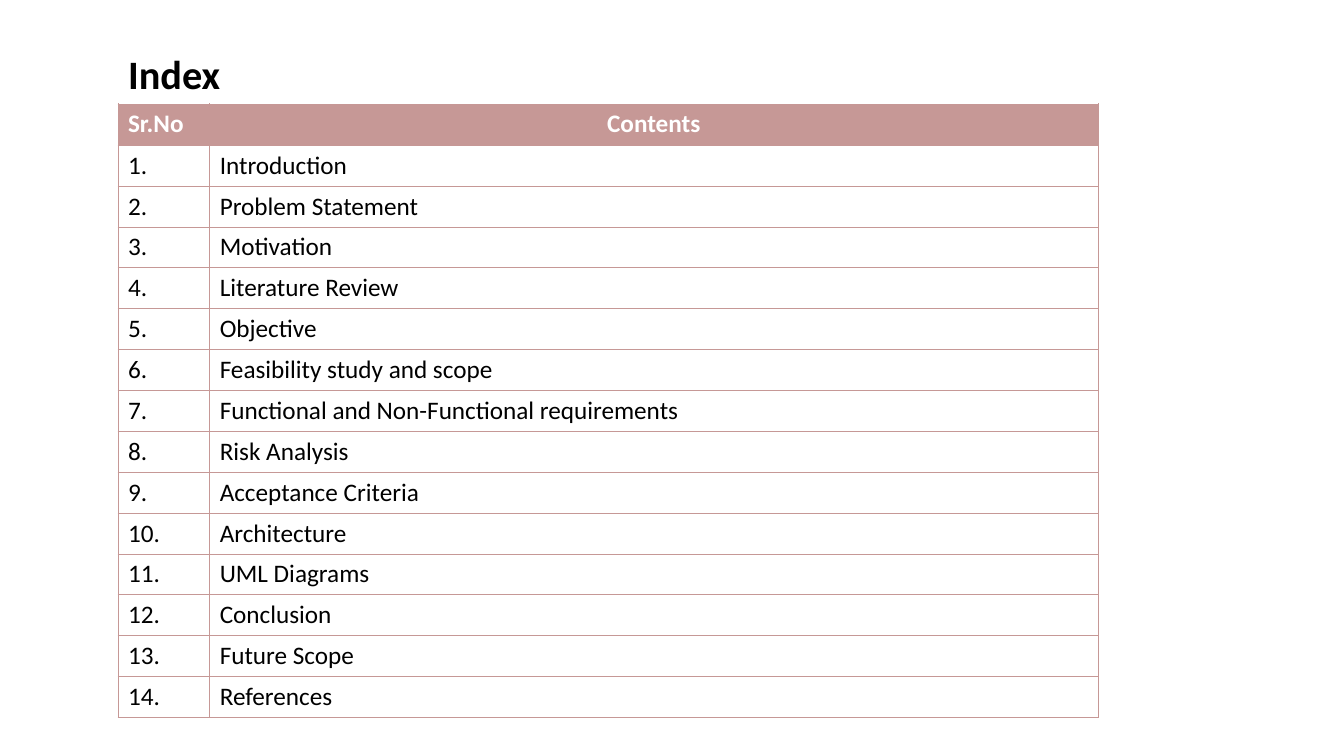
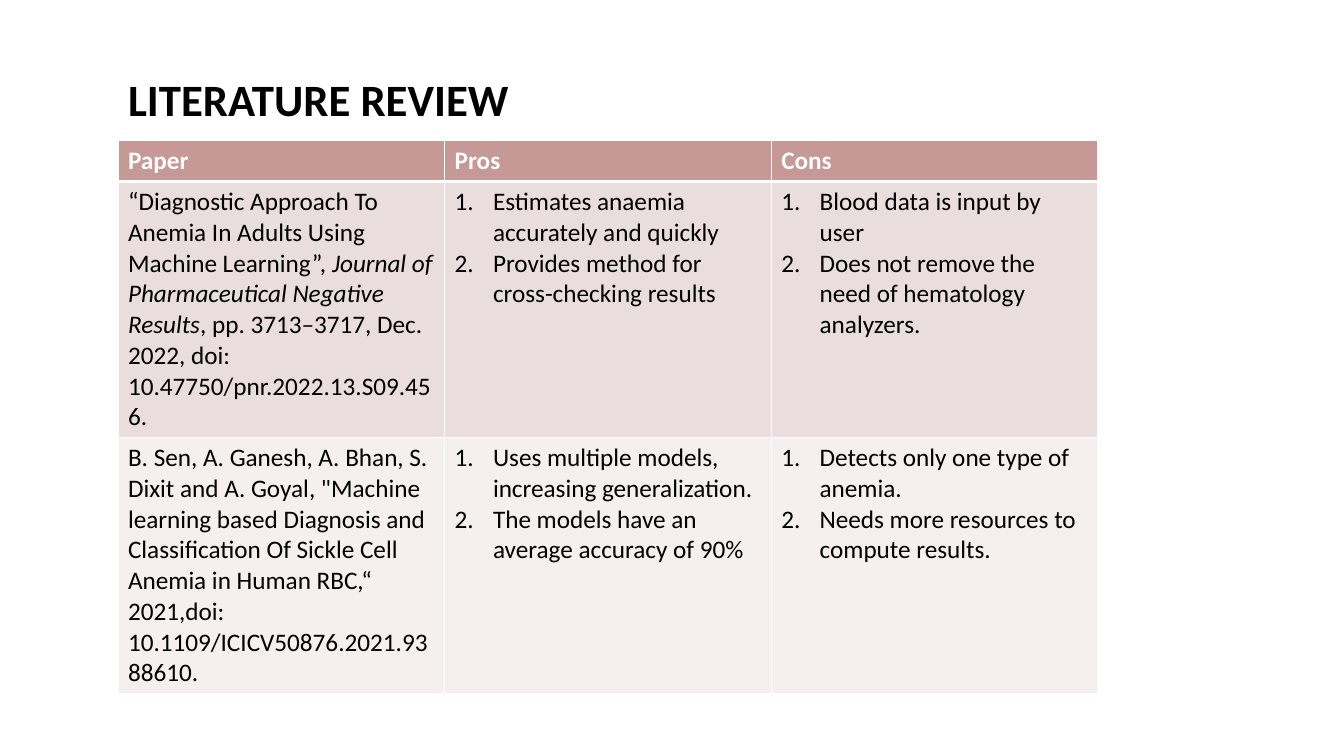
from lxml.etree import SubElement
from pptx import Presentation
from pptx.dml.color import RGBColor
from pptx.enum.text import MSO_ANCHOR, MSO_AUTO_SIZE, PP_ALIGN
from pptx.oxml.ns import qn
from pptx.util import Inches, Pt

COLORS = {
    "text": "000000",
    "white": "FFFFFF",
    "rose": "C69896",
    "band_dark": "EADDDD",
    "band_light": "F5EFEF",
}
FONT = "Calibri"
LEFT, WIDTH = 1.17, 9.72
HEADER_HEIGHT = 0.41
NUMBER_INDENT = 0.38

TOPICS = [
    "Introduction", "Problem Statement", "Motivation", "Literature Review",
    "Objective", "Feasibility study and scope",
    "Functional and Non-Functional requirements", "Risk Analysis",
    "Acceptance Criteria", "Architecture", "UML Diagrams", "Conclusion",
    "Future Scope", "References",
]

# Each paper: citation as (text, italic) parts, pros, cons
PAPERS = [
    (
        [
            ("“Diagnostic Approach To Anemia In Adults Using Machine Learning”, ", False),
            ("Journal of Pharmaceutical Negative Results", True),
            (", pp. 3713–3717, Dec. 2022, doi: 10.47750/pnr.2022.13.S09.456.", False),
        ],
        ["Estimates anaemia accurately and quickly",
         "Provides method for cross-checking results"],
        ["Blood data is input by user",
         "Does not remove the need of hematology analyzers."],
    ),
    (
        [
            ('B. Sen, A. Ganesh, A. Bhan, S. Dixit and A. Goyal, "Machine learning '
             "based Diagnosis and Classification Of Sickle Cell Anemia in Human RBC,“ "
             "2021,doi: 10.1109/ICICV50876.2021.9388610.", False),
        ],
        ["Uses multiple models, increasing generalization.",
         "The models have an average accuracy of 90%"],
        ["Detects only one type of anemia.",
         "Needs more resources to compute results."],
    ),
]


def set_font(paragraph, size, color, bold=False):
    font = paragraph.font
    font.name, font.size, font.bold = FONT, Pt(size), bold
    font.color.rgb = RGBColor.from_string(COLORS[color])


def add_titled_slide(prs, text, top, height, size):
    slide = prs.slides.add_slide(prs.slide_layouts[5])
    title = slide.shapes.title
    title.left, title.top = Inches(LEFT), Inches(top)
    title.width, title.height = Inches(WIDTH), Inches(height)
    frame = title.text_frame
    frame.text = text
    frame.auto_size = MSO_AUTO_SIZE.NONE
    frame.vertical_anchor = MSO_ANCHOR.BOTTOM
    heading = frame.paragraphs[0]
    heading.alignment = PP_ALIGN.LEFT
    heading.line_spacing = 0.9
    set_font(heading, size, "text", bold=True)
    return slide


def add_grid(slide, top, col_widths, row_heights):
    table = slide.shapes.add_table(
        len(row_heights), len(col_widths), Inches(LEFT), Inches(top),
        Inches(sum(col_widths)), Inches(sum(row_heights))).table
    table.horz_banding = False
    for column, width in zip(table.columns, col_widths):
        column.width = Inches(width)
    for row, height in zip(table.rows, row_heights):
        row.height = Inches(height)
    return table


def style_cell(cell, fill, border, widths):
    """Set the fill, and border widths in points for left, right, top, bottom."""
    tc_pr = cell._tc.get_or_add_tcPr()
    for side, width in zip("LRTB", widths):
        line = SubElement(tc_pr, qn(f"a:ln{side}"), w=str(Pt(width)))
        solid = SubElement(line, qn("a:solidFill"))
        SubElement(solid, qn("a:srgbClr"), val=COLORS[border])
    if fill:
        cell.fill.solid()
        cell.fill.fore_color.rgb = RGBColor.from_string(COLORS[fill])
    else:
        cell.fill.background()


def write_line(cell, text, color="text", bold=False, align=PP_ALIGN.LEFT):
    cell.text = text
    line = cell.text_frame.paragraphs[0]
    line.alignment = align
    set_font(line, 18, color, bold)


def write_citation(cell, parts):
    citation = cell.text_frame.paragraphs[0]
    set_font(citation, 18, "text")
    for text, italic in parts:
        run = citation.add_run()
        run.text = text
        run.font.italic = italic


def write_numbered(cell, items):
    cell.text = "\n".join(items)
    indent = Inches(NUMBER_INDENT)
    for item in cell.text_frame.paragraphs:
        p_pr = item._p.get_or_add_pPr()
        p_pr.set("marL", str(indent))
        p_pr.set("indent", str(-indent))
        SubElement(p_pr, qn("a:buFont"), typeface="+mj-lt")
        SubElement(p_pr, qn("a:buAutoNum"), type="arabicPeriod")
        set_font(item, 18, "text")


def build_index(prs):
    slide = add_titled_slide(prs, "Index", 0.44, 0.58, 28.8)
    table = add_grid(slide, 1.03, [0.91, 8.81],
                     [HEADER_HEIGHT] + [0.405] * len(TOPICS))
    write_line(table.cell(0, 0), "Sr.No", "white", True)
    write_line(table.cell(0, 1), "Contents", "white", True, PP_ALIGN.CENTER)
    for number, topic in enumerate(TOPICS, 1):
        write_line(table.cell(number, 0), f"{number}.")
        write_line(table.cell(number, 1), topic, align=PP_ALIGN.JUSTIFY)
    for i, row in enumerate(table.rows):
        for cell in row.cells:
            style_cell(cell, None if i else "rose", "rose", [0.5] * 4)


def build_review(prs):
    slide = add_titled_slide(prs, "LITERATURE REVIEW", 0.26, 1.04, 32)
    table = add_grid(slide, 1.39, [WIDTH / 3] * 3,
                     [HEADER_HEIGHT] + [2.54] * len(PAPERS))
    for cell, heading in zip(table.rows[0].cells, ["Paper", "Pros", "Cons"]):
        write_line(cell, heading, "white", True)
        style_cell(cell, "rose", "white", [1, 1, 1, 3])
    for i, (citation, pros, cons) in enumerate(PAPERS):
        cells = list(table.rows[i + 1].cells)
        write_citation(cells[0], citation)
        write_numbered(cells[1], pros)
        write_numbered(cells[2], cons)
        for cell in cells:
            style_cell(cell, "band_light" if i % 2 else "band_dark", "white",
                       [1, 1, 1 if i else 3, 1])


def main():
    prs = Presentation()
    prs.slide_width, prs.slide_height = Inches(13.33), Inches(7.5)
    build_index(prs)
    build_review(prs)
    prs.save("out.pptx")


if __name__ == "__main__":
    main()
